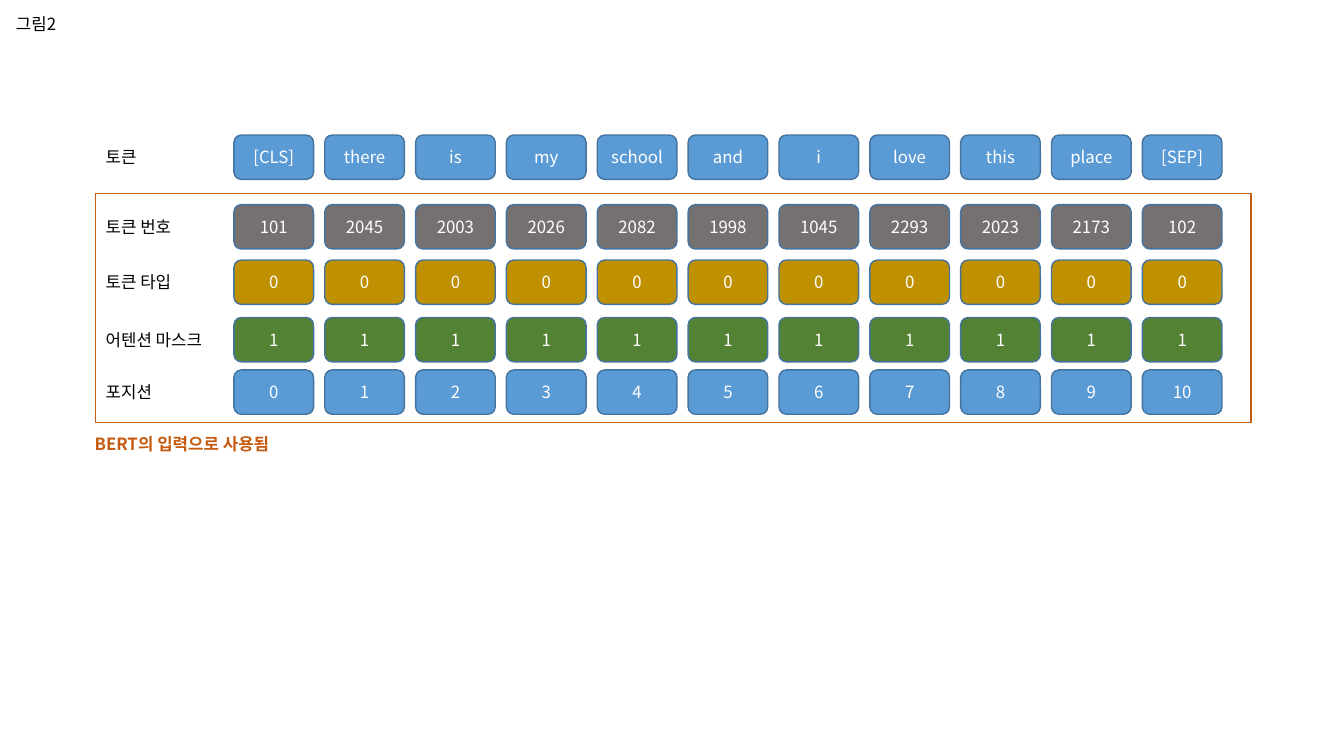
from pptx import Presentation
from pptx.dml.color import RGBColor
from pptx.enum.shapes import MSO_SHAPE
from pptx.enum.text import MSO_ANCHOR, MSO_AUTO_SIZE, PP_ALIGN
from pptx.oxml.ns import qn
from pptx.util import Inches, Pt
from lxml.etree import SubElement

FONT = "Noto Sans CJK KR"
COLORS = {
    "blue": "5B9BD5", "gray": "767171", "gold": "BF9000", "green": "548235",
    "outline": "43739E", "orange": "C55A11", "black": "000000", "white": "FFFFFF",
}

TOKENS = ["[CLS]", "there", "is", "my", "school", "and", "i", "love", "this", "place", "[SEP]"]
TOKEN_IDS = [101, 2045, 2003, 2026, 2082, 1998, 1045, 2293, 2023, 2173, 102]
COUNT = len(TOKENS)
ROWS = [
    ("토큰", 0.54, 1.34, "blue", TOKENS),
    ("토큰 번호", 0.93, 2.03, "gray", TOKEN_IDS),
    ("토큰 타입", 0.93, 2.58, "gold", [0] * COUNT),
    ("어텐션 마스크", 1.27, 3.15, "green", [1] * COUNT),
    ("포지션", 0.71, 3.67, "blue", range(COUNT)),
]
FIGURE = "그림2"
CAPTION = "BERT의 입력으로 사용됨"

CELL_LEFT, CELL_STEP = 2.32, 0.901
CELL_W, CELL_H = 0.79, 0.44
LABEL_LEFT, LABEL_H = 0.95, 0.3
FRAME = (0.95, 1.92, 11.46, 2.27)


def rgb(name):
    return RGBColor.from_string(COLORS[name])


def add_run(p, text, color, bold=False):
    r = p.add_run()
    r.text = str(text)
    r.font.size = Pt(12)
    r.font.name = FONT
    r.font.bold = bold
    r.font.color.rgb = rgb(color)
    SubElement(r.font._element, qn("a:ea")).set("typeface", FONT)


def add_label(text, left, top, width, color="black", bold=False):
    sp = s.shapes.add_textbox(Inches(left), Inches(top), Inches(width), Inches(LABEL_H))
    tf = sp.text_frame
    tf.word_wrap = False
    tf.auto_size = MSO_AUTO_SIZE.SHAPE_TO_FIT_TEXT
    add_run(tf.paragraphs[0], text, color, bold)


def add_box(kind, box, line, fill=None):
    sp = s.shapes.add_shape(kind, *map(Inches, box))
    sp.shadow.inherit = False
    sp.line.color.rgb = rgb(line)
    sp.line.width = Pt(1)
    if fill:
        sp.fill.solid()
        sp.fill.fore_color.rgb = rgb(fill)
    else:
        sp.fill.background()
    return sp


def add_cell(value, left, top, fill):
    sp = add_box(MSO_SHAPE.ROUNDED_RECTANGLE, (left, top, CELL_W, CELL_H), "outline", fill)
    tf = sp.text_frame
    tf.word_wrap = True
    tf.vertical_anchor = MSO_ANCHOR.MIDDLE
    p = tf.paragraphs[0]
    p.alignment = PP_ALIGN.CENTER
    add_run(p, value, "white")


prs = Presentation()
prs.slide_width, prs.slide_height = Inches(13.33), Inches(7.5)
s = prs.slides.add_slide(prs.slide_layouts[6])

add_label(FIGURE, 0.06, 0.09, 0.63)
add_box(MSO_SHAPE.RECTANGLE, FRAME, "orange")
for label, width, top, fill, values in ROWS:
    add_label(label, LABEL_LEFT, top + (CELL_H - LABEL_H) / 2, width)
    for i, value in enumerate(values):
        add_cell(value, CELL_LEFT + i * CELL_STEP, top, fill)
add_label(CAPTION, 0.84, 4.25, 2.07, "orange", True)

prs.save("out.pptx")
